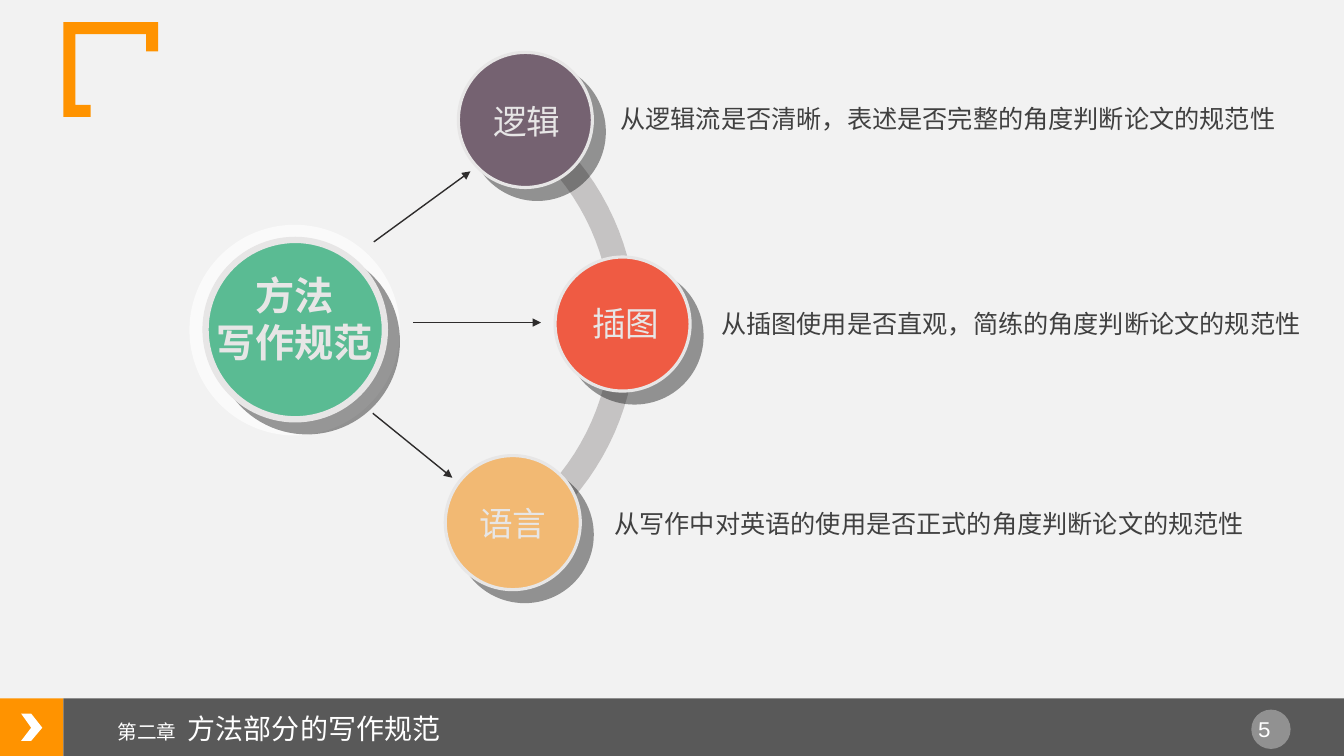
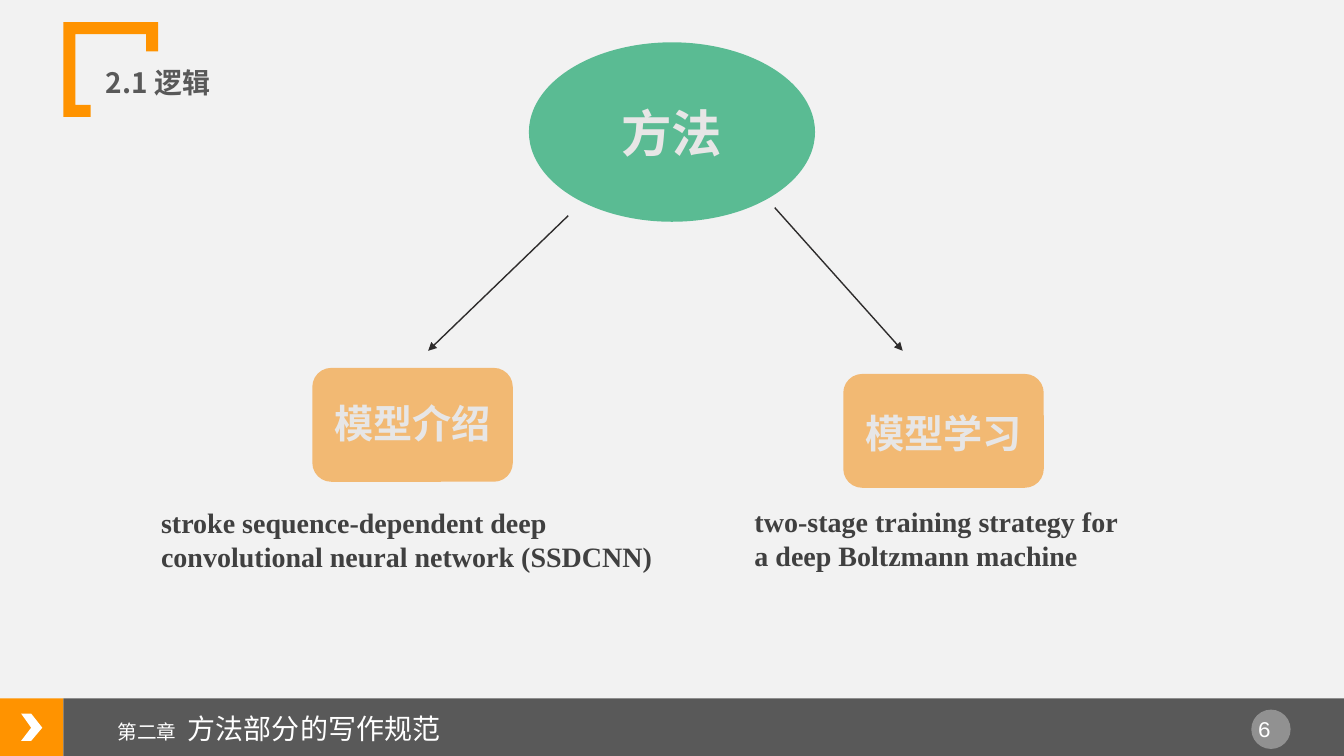
from lxml import etree
from pptx import Presentation
from pptx import util as u
from pptx.dml.color import RGBColor
from pptx.enum import shapes, text
from pptx.oxml.ns import qn

ORANGE = RGBColor(0xFF, 0x93, 0x00)
SLATE = RGBColor(0x59, 0x59, 0x59)
WHITE = RGBColor(0xFF, 0xFF, 0xFF)
PAPER = RGBColor(0xF2, 0xF2, 0xF2)
HALO = RGBColor(0xFA, 0xFA, 0xFA)
PALE = RGBColor(0xE7, 0xE6, 0xE6)
RING = RGBColor(0xC5, 0xC3, 0xC3)
INK = RGBColor(0x2E, 0x2C, 0x2C)
BODY = RGBColor(0x40, 0x40, 0x40)
GREEN = RGBColor(0x5A, 0xBB, 0x93)
PLUM = RGBColor(0x75, 0x62, 0x71)
RED = RGBColor(0xEF, 0x5B, 0x43)
SAND = RGBColor(0xF2, 0xB9, 0x73)

HAN = "Noto Sans CJK SC"
KIND = shapes.MSO_SHAPE
LEFT, MID, JUST = text.PP_ALIGN.LEFT, text.PP_ALIGN.CENTER, text.PP_ALIGN.JUSTIFY


def draw(slide, kind, box, color):
    """Add a plain filled shape; for kind None, box is a list of outline points."""
    if kind is None:
        dots = [(u.Inches(x), u.Inches(y)) for x, y in box]
        pen = slide.shapes.build_freeform(*dots[0])
        pen.add_line_segments(dots[1:], close=True)
        shape = pen.convert_to_shape()
    else:
        shape = slide.shapes.add_shape(kind, *map(u.Inches, box))
    shape.fill.solid()
    shape.fill.fore_color.rgb = color
    shape.line.fill.background()
    shape.shadow.inherit = False
    return shape


def say(slide, box, rows, color, align=LEFT, bold=False, face=HAN):
    """Add a text box; each row is a paragraph made of (words, size) runs."""
    frame = slide.shapes.add_textbox(*map(u.Inches, box)).text_frame
    frame.word_wrap = True
    for i, row in enumerate(rows):
        para = frame.add_paragraph() if i else frame.paragraphs[0]
        para.alignment = align
        for words, size in row:
            run = para.add_run()
            run.text = words
            font = run.font
            font.size, font.name, font.bold = u.Pt(size), face, bold
            font.color.rgb = color
            etree.SubElement(run._r.rPr, qn("a:ea"), typeface=face)
    return frame


deck = Presentation()
deck.slide_width, deck.slide_height = u.Inches(13.34), u.Inches(7.5)
deck.slide_master.background.fill.solid()
deck.slide_master.background.fill.fore_color.rgb = PAPER
base = deck.slide_layouts[6]
for hold in list(base.placeholders):
    hold.element.getparent().remove(hold.element)
rules, logic = [deck.slides.add_slide(base) for _ in range(2)]

# Shared band, chevron, page disc and corner bracket, kept on the layout
draw(rules, KIND.RECTANGLE, (0, 6.93, 0.63, 0.57), ORANGE)
draw(rules, KIND.RECTANGLE, (0.63, 6.93, 12.71, 0.57), SLATE)
draw(rules, None, [(0.21, 7.08), (0.31, 7.08), (0.42, 7.22), (0.31, 7.35),
                   (0.21, 7.35), (0.31, 7.22)], WHITE)
disc = draw(rules, KIND.OVAL, (12.42, 7.04, 0.39, 0.39), WHITE)
tint = disc.element.spPr.find(".//" + qn("a:srgbClr"))
etree.SubElement(tint, qn("a:alpha"), val="34000")
draw(rules, None, [(0.63, 0.22), (1.57, 0.22), (1.57, 0.51), (1.45, 0.51),
                   (1.45, 0.34), (0.75, 0.34), (0.75, 1.04), (0.9, 1.04),
                   (0.9, 1.16), (0.63, 1.16)], ORANGE)
for shape in list(rules.shapes):
    base.shapes.element.append(shape.element)

# Chapter title and page number
for page, slide in enumerate((rules, logic), 5):
    say(slide, (12.26, 7.05, 0.71, 0.69), [[(f"{page} ", 16)]], WHITE, MID,
        face="Courier New")
    title = say(slide, (1.07, 7.01, 5.43, 0.44),
                [[("第二章", 14), (" ", 16), (" 方法部分的写作规范", 20)]], WHITE)
    title.vertical_anchor = text.MSO_ANCHOR.MIDDLE

# Slide 1: curved ring, sampled from its Bezier edges
curves = [
    [(4.91, 1.22), (5.61, 1.62), (6.07, 2.38), (6.07, 3.24)],
    [(6.07, 3.24), (6.07, 4.08), (5.62, 4.83), (4.95, 5.24)],
    [(5.08, 5.46), (5.83, 5), (6.32, 4.18), (6.32, 3.24)],
    [(6.32, 3.24), (6.32, 2.28), (5.81, 1.45), (5.04, 1)],
]
edge = []
for curve in curves:
    for step in range(21):
        t = step / 20
        mix = ((1 - t) ** 3, 3 * t * (1 - t) ** 2, 3 * t * t * (1 - t), t ** 3)
        edge.append([sum(m * dot[k] for m, dot in zip(mix, curve)) for k in (0, 1)])
draw(rules, None, edge, RING)

# Slide 1: discs with a hard shadow, their names and remarks
draw(rules, KIND.OVAL, (1.88, 2.23, 2.09, 2.09), HALO)
topics = [
    ((4.55, 0.52, 1.33, 1.34), PLUM, 2.24, (4.75, 0.95, 0.96, 0.5), ["逻辑"], 24),
    ((5.51, 2.55, 1.34, 1.33), RED, 2.24, (5.73, 2.96, 0.96, 0.5), ["插图"], 24),
    ((4.42, 4.52, 1.34, 1.33), SAND, 2.24, (4.61, 4.94, 0.96, 0.5), ["语言"], 24),
    ((2.04, 2.38, 1.78, 1.78), GREEN, 4.5, (1.97, 2.64, 1.91, 1.04),
     ["方法", "写作规范"], 28),
]
for box, color, rim, spot, names, size in topics:
    ball = draw(rules, KIND.OVAL, box, color)
    ball.line.color.rgb = PALE
    ball.line.width = u.Pt(rim)
    cast = etree.SubElement(ball.element.spPr.find(qn("a:effectLst")),
                            qn("a:outerShdw"), blurRad="0", dist=str(u.Pt(12.1)),
                            dir="2700000", algn="tl", rotWithShape="0")
    black = etree.SubElement(cast, qn("a:srgbClr"), val="000000")
    etree.SubElement(black, qn("a:alpha"), val="40000")
    say(rules, spot, [[(name, size)] for name in names], PALE, MID, size == 28)

notes = [
    ((6.06, 0.98, 6.88, 0.4), "从逻辑流是否清晰，表述是否完整的角度判断论文的规范性"),
    ((7.06, 3.01, 5.99, 0.4), "从插图使用是否直观，简练的角度判断论文的规范性"),
    ((6, 4.99, 6.63, 0.4), "从写作中对英语的使用是否正式的角度判断论文的规范性"),
]
for box, words in notes:
    say(rules, box, [[(words, 18)]], BODY, JUST)

# Slide 2: heading, root and two branches
say(logic, (0.95, 0.6, 3.25, 0.44), [[("2.1 逻辑", 20)]], SLATE, bold=True)
draw(logic, KIND.OVAL, (5.25, 0.42, 2.84, 1.78), GREEN)
say(logic, (5.74, 0.96, 1.85, 0.7), [[("方法", 36)]], PALE, MID, True)
parts = [
    (3.1, 3.65, 3.91, "模型介绍", (1.5, 4.97, 5.19, 0.77),
     "stroke sequence-dependent deep convolutional neural network (SSDCNN)"),
    (8.37, 3.71, 4.01, "模型学习", (7.39, 4.96, 3.95, 0.77),
     "two-stage training strategy for a deep Boltzmann machine"),
]
for x, top, line, name, box, words in parts:
    draw(logic, KIND.ROUNDED_RECTANGLE, (x, top, 1.99, 1.13), SAND)
    say(logic, (x, line, 1.99, 1.04), [[(name, 28)]], PALE, MID, True)
    say(logic, box, [[(words, 20)]], BODY, bold=True, face="Times New Roman")

# Arrows on both slides, from root to branch
arrows = [
    (rules, 3.71, 2.4, 4.67, 1.7),
    (rules, 4.1, 3.2, 5.37, 3.2),
    (rules, 3.7, 4.1, 4.49, 4.74),
    (logic, 5.64, 2.14, 4.25, 3.48),
    (logic, 7.69, 2.06, 8.96, 3.48),
]
for slide, *ends in arrows:
    arrow = slide.shapes.add_connector(shapes.MSO_CONNECTOR.STRAIGHT,
                                       *map(u.Inches, ends))
    arrow.line.color.rgb = INK
    arrow.line.width = u.Pt(1)
    etree.SubElement(arrow.line._get_or_add_ln(), qn("a:tailEnd"), type="triangle")
    etree.SubElement(arrow.element.spPr, qn("a:effectLst"))

deck.save("out.pptx")
